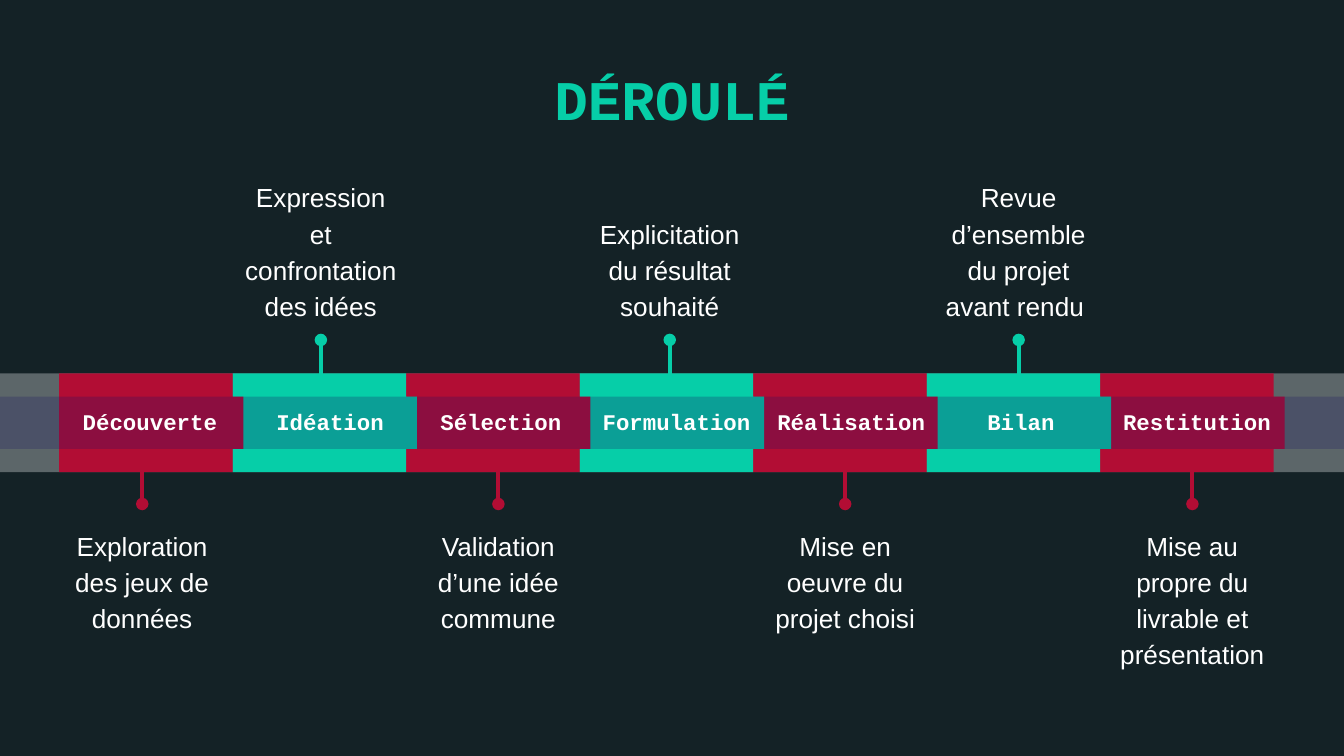
from lxml import etree
from pptx import Presentation
from pptx.dml.color import RGBColor
from pptx.enum import shapes, text
from pptx.oxml.ns import qn
from pptx.util import Pt


class Theme:
    night = RGBColor.from_string("142226")
    white = RGBColor.from_string("FFFFFF")
    red = RGBColor.from_string("B20D34")
    mint = RGBColor.from_string("06CEA8")
    indigo = RGBColor.from_string("1B1464")
    mono, sans = "Courier New", "Arial"
    title, label, note = Pt(30), Pt(12), Pt(14)


WIDTH, HEIGHT = 720, 405
LEFT, PITCH, TAB = 31.7, 92.95, 5.8
TOP, BOTTOM = 200.1, 253
TAB_TOP, TAB_BOTTOM = 212.5, 240.5
PIN = 18
NOTE_WIDTH, NOTE_HEIGHT = 98.6, 69.8
NOTE_ABOVE, NOTE_BELOW = 102.4, 281.5
LABEL_WIDTH, LABEL_HEIGHT = 123, 28

# name, centre of the name, centre of pin and note, note
STAGES = [
    ("Découverte", 80.3, 76.2, "Exploration des jeux de données"),
    ("Idéation", 176.8, 171.9, "Expression et confrontation des idées"),
    ("Sélection", 268.3, 267, "Validation d’une idée commune"),
    ("Formulation", 362.4, 358.8, "Explicitation du résultat souhaité"),
    ("Réalisation", 456, 452.8, "Mise en oeuvre du projet choisi"),
    ("Bilan", 546.9, 545.7, "Revue d’ensemble du projet avant rendu "),
    ("Restitution", 641.2, 638.8, "Mise au propre du livrable et présentation"),
]

deck = Presentation()
deck.slide_width, deck.slide_height = Pt(WIDTH), Pt(HEIGHT)
page = deck.slides.add_slide(deck.slide_layouts[6])
page.background.fill.solid()
page.background.fill.fore_color.rgb = Theme.night


def add_band(top, bottom, colour, opacity):
    """Lay a see-through strip across the whole page."""
    band = page.shapes.add_shape(shapes.MSO_SHAPE.RECTANGLE, 0, Pt(top), Pt(WIDTH), Pt(bottom - top))
    band.shadow.inherit = False
    band.line.fill.background()
    band.fill.solid()
    band.fill.fore_color.rgb = colour
    tint = band._element.spPr.find(".//" + qn("a:srgbClr"))
    etree.SubElement(tint, qn("a:alpha"), val=str(opacity * 1000))


def add_text(words, centre, top, width, height, size, font, colour,
             bold=False, margin=7.2, anchor=text.MSO_ANCHOR.TOP, spacing=None):
    box = page.shapes.add_textbox(Pt(centre - width / 2), Pt(top), Pt(width), Pt(height))
    frame = box.text_frame
    frame.word_wrap = True
    frame.vertical_anchor = anchor
    frame.margin_left = frame.margin_right = Pt(7.2)
    frame.margin_top = frame.margin_bottom = Pt(margin)
    para = frame.paragraphs[0]
    para.alignment = text.PP_ALIGN.CENTER
    para.line_spacing = spacing
    span = para.add_run()
    span.text = words
    span.font.size, span.font.name, span.font.bold = size, font, bold
    span.font.color.rgb = colour


add_band(TOP, BOTTOM, Theme.white, 31)

# Ribbons go from right to left, so that each tab lies over the next ribbon
for index in reversed(range(len(STAGES))):
    start = LEFT + index * PITCH
    end = start + PITCH
    tip = end + TAB
    outline = page.shapes.build_freeform(Pt(start), Pt(TOP))
    corners = [(start, BOTTOM), (end, BOTTOM), (end, TAB_BOTTOM), (tip, TAB_BOTTOM),
               (tip, TAB_TOP), (end, TAB_TOP), (end, TOP)]
    outline.add_line_segments([(Pt(x), Pt(y)) for x, y in corners])
    ribbon = outline.convert_to_shape()
    ribbon.shadow.inherit = False
    ribbon.line.fill.background()
    ribbon.fill.solid()
    ribbon.fill.fore_color.rgb = Theme.mint if index % 2 else Theme.red

add_band(TAB_TOP, TAB_BOTTOM, Theme.indigo, 25)

add_text("DÉROULÉ", WIDTH / 2, 27.4, 518.4, 52.6, Theme.title, Theme.mono, Theme.mint, bold=True)

for index, (name, name_centre, pin_centre, note) in enumerate(STAGES):
    above = index % 2 == 1
    add_text(name, name_centre, 211.7, LABEL_WIDTH, LABEL_HEIGHT,
             Theme.label, Theme.mono, Theme.white, bold=True)

    edge = TOP if above else BOTTOM
    ball = TOP - PIN if above else BOTTOM + PIN - 1
    pin = page.shapes.add_connector(shapes.MSO_CONNECTOR.STRAIGHT,
                                    Pt(pin_centre), Pt(ball), Pt(pin_centre), Pt(edge))
    pin.line.color.rgb = Theme.mint if above else Theme.red
    pin.line.width = Pt(2.25)
    etree.SubElement(pin.line._get_or_add_ln(), qn("a:headEnd"), type="oval")
    etree.SubElement(pin._element.spPr, qn("a:effectLst"))

    add_text(note, pin_centre, NOTE_ABOVE if above else NOTE_BELOW, NOTE_WIDTH, NOTE_HEIGHT,
             Theme.note, Theme.sans, Theme.white, margin=0, spacing=1.15,
             anchor=text.MSO_ANCHOR.BOTTOM if above else text.MSO_ANCHOR.TOP)

deck.save("out.pptx")
